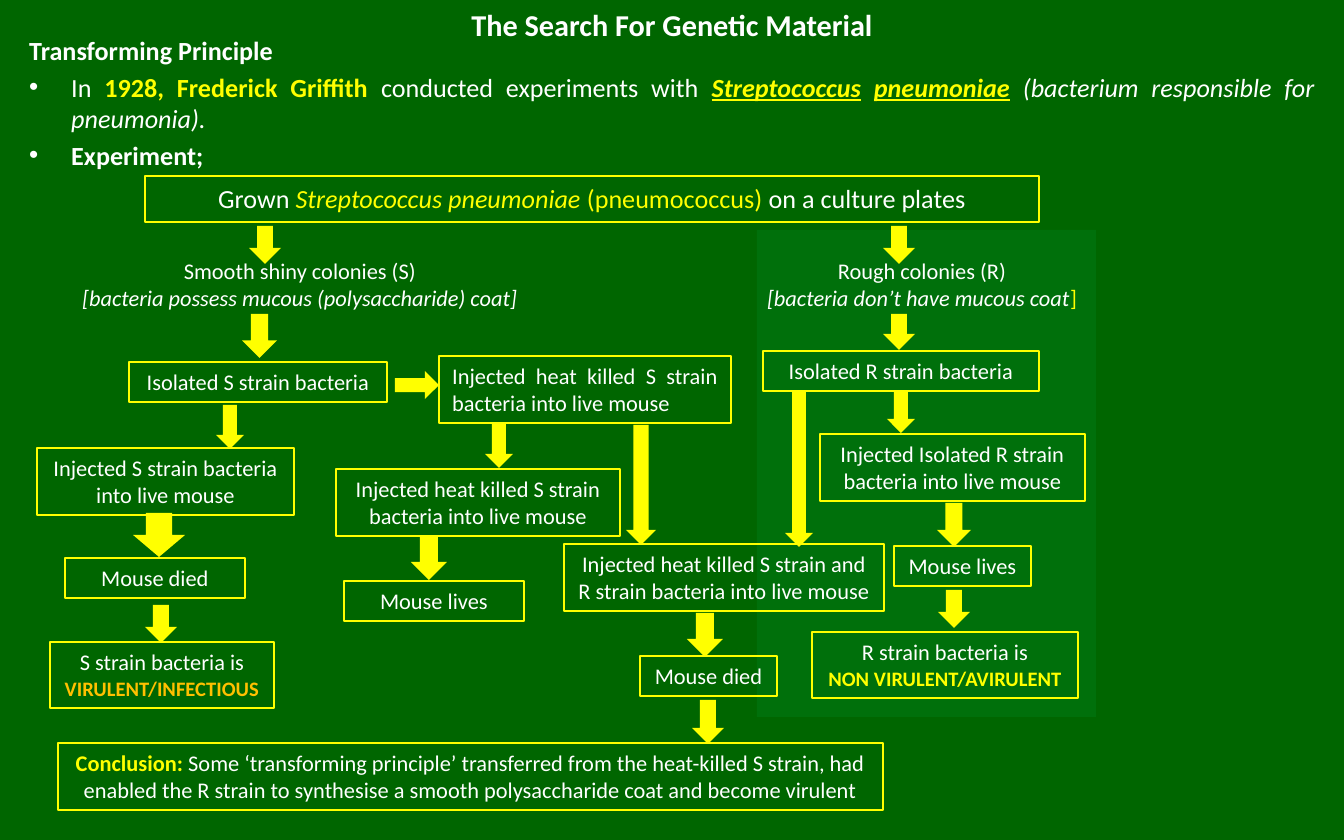
"""Build a slide on Griffith's experiment as a flow chart of boxes and arrows."""
import pptx
import pptx.util
import pptx.dml.color
import pptx.enum.shapes
import pptx.enum.text
import pptx.oxml.ns
from lxml import etree

COLOURS = {"ground": "006600", "panel": "00B050", "white": "FFFFFF",
           "yellow": "FFFF00", "amber": "FFC000"}
FONT = "Calibri"
WIDTH, HEIGHT = 1344, 840
SCALE = 914400 / 134.4

STYLES = {
    "plain": ("white", {}),
    "bold": ("white", {"bold": True}),
    "italic": ("white", {"italic": True}),
    "yellow": ("yellow", {}),
    "yellow italic": ("yellow", {"italic": True}),
    "yellow bold": ("yellow", {"bold": True}),
    "species": ("yellow", {"bold": True, "italic": True, "underline": True}),
    "species gap": ("yellow", {"bold": True, "italic": True}),
    "avirulent": ("yellow", {"bold": True, "size": pptx.util.Pt(11)}),
    "virulent": ("amber", {"bold": True, "size": pptx.util.Pt(11)}),
}

TITLE = [[("The Search For Genetic Material", "bold")]]
INTRO = [
    [("Transforming Principle", "bold")],
    [("In ", "plain"), ("1928, Frederick Griffith ", "yellow bold"),
     ("conducted experiments with ", "plain"), ("Streptococcus", "species"),
     (" ", "species gap"), ("pneumoniae", "species"), (" ", "species gap"),
     ("(bacterium responsible for pneumonia).", "italic")],
    [("Experiment;", "bold")],
]
CULTURE = [[("Grown ", "plain"), ("Streptococcus pneumoniae ", "yellow italic"),
            ("(pneumococcus) ", "yellow"), ("on a culture plates", "plain")]]
SMOOTH = [[("Smooth shiny colonies (S)", "plain")],
          [("[bacteria possess mucous (polysaccharide) coat]", "italic")]]
ROUGH = [[("Rough colonies (R)", "plain")],
         [("[bacteria don’t have mucous coat", "italic"), ("]", "yellow")]]
VIRULENT = [[("S strain bacteria is", "plain")], [("VIRULENT/INFECTIOUS", "virulent")]]
AVIRULENT = [[("R strain bacteria is", "plain")], [("NON VIRULENT/AVIRULENT", "avirulent")]]
CONCLUSION = [[
    ("Conclusion: ", "yellow bold"),
    ("Some ‘transforming principle’ transferred from the heat-killed S strain, had enabled "
     "the R strain to synthesise a smooth polysaccharide coat and become virulent", "plain")]]
HEAT_KILLED = "Injected heat killed S strain bacteria into live mouse"

PANEL = (757, 230, 339, 487)
TITLE_AREA = (16, -1, 1312, 51)
INTRO_AREA = (16, 28, 1312, 202)
CULTURE_AREA = (145, 176, 894, 46)
LABELS = [((65, 251, 470, 67), SMOOTH), ((738, 251, 368, 67), ROUGH)]
JUSTIFIED_STEP = ((439, 356, 292, 67), HEAT_KILLED)
STEPS = [
    ((763, 351, 276, 40), "Isolated R strain bacteria"),
    ((129, 362, 258, 40), "Isolated S strain bacteria"),
    ((820, 434, 265, 67), "Injected Isolated R strain bacteria into live mouse"),
    ((37, 448, 257, 67), "Injected S strain bacteria into live mouse"),
    ((65, 558, 180, 40), "Mouse died"),
    ((894, 546, 137, 40), "Mouse lives"),
    ((336, 469, 284, 67), HEAT_KILLED),
    ((344, 581, 180, 40), "Mouse lives"),
    ((564, 544, 320, 67), "Injected heat killed S strain and R strain bacteria into live mouse"),
    ((640, 656, 137, 40), "Mouse died"),
    ((50, 642, 224, 66), VIRULENT),
    ((812, 632, 266, 66), AVIRULENT),
    ((58, 743, 825, 67), CONCLUSION),
]
SIDE_ARROW = (403, 363, 28, 44)
DOWN_ARROWS = [
    (883, 226, 32, 38), (249, 226, 32, 38), (883, 314, 32, 36), (242, 314, 35, 44),
    (887, 392, 28, 41), (216, 405, 28, 44), (133, 513, 52, 44), (937, 503, 34, 44),
    (485, 424, 28, 44), (411, 536, 36, 44), (785, 392, 28, 155), (626, 425, 30, 120),
    (687, 613, 36, 44), (938, 590, 32, 38), (145, 605, 32, 38), (692, 700, 32, 44),
]

SHAPES = pptx.enum.shapes.MSO_SHAPE
ALIGN = pptx.enum.text.PP_ALIGN
ANCHOR = pptx.enum.text.MSO_ANCHOR


def emu(area):
    return [round(length * SCALE) for length in area]


def colour(name):
    return pptx.dml.color.RGBColor.from_string(COLOURS[name])


def add_shape(page, kind, area, fill=None, line=None):
    shape = page.shapes.add_shape(kind, *emu(area))
    shape.shadow.inherit = False
    if fill:
        shape.fill.solid()
        shape.fill.fore_color.rgb = colour(fill)
    else:
        shape.fill.background()
    if line:
        shape.line.color.rgb = colour(line)
        shape.line.width = pptx.util.Pt(0.75)
    else:
        shape.line.fill.background()
    return shape


def write(shape, content, size=12, align=ALIGN.CENTER, anchor=ANCHOR.TOP):
    frame = shape.text_frame
    settings = {"word_wrap": True, "vertical_anchor": anchor,
                "auto_size": pptx.enum.text.MSO_AUTO_SIZE.NONE}
    for name, value in settings.items():
        setattr(frame, name, value)
    paragraphs = [[(content, "plain")]] if isinstance(content, str) else content
    for index, spans in enumerate(paragraphs):
        paragraph = frame.add_paragraph() if index else frame.paragraphs[0]
        paragraph.alignment = align
        for text, style in spans:
            span = paragraph.add_run()
            span.text = text
            tint, look = STYLES[style]
            values = {"name": FONT, "size": pptx.util.Pt(size), "bold": False, **look}
            for name, value in values.items():
                setattr(span.font, name, value)
            span.font.color.rgb = colour(tint)
    return frame


def add_bullet(paragraph):
    properties = paragraph._p.get_or_add_pPr()
    indent = round(42 * SCALE)
    properties.set("marL", str(indent))
    properties.set("indent", str(-indent))
    font = etree.SubElement(properties, pptx.oxml.ns.qn("a:buFont"))
    font.set("typeface", "Arial")
    bullet = etree.SubElement(properties, pptx.oxml.ns.qn("a:buChar"))
    bullet.set("char", "•")


def add_intro(page):
    box = page.shapes.add_textbox(*emu(INTRO_AREA))
    frame = write(box, INTRO, size=14, align=ALIGN.JUSTIFY)
    for paragraph in frame.paragraphs[1:]:
        paragraph.space_before = pptx.util.Pt(2.8)
        add_bullet(paragraph)


def main():
    deck = pptx.Presentation()
    deck.slide_width, deck.slide_height = emu((WIDTH, HEIGHT))
    page = deck.slides.add_slide(deck.slide_layouts[5])
    page.background.fill.solid()
    page.background.fill.fore_color.rgb = colour("ground")

    panel = add_shape(page, SHAPES.RECTANGLE, PANEL, fill="panel")
    tint = panel._element.spPr.find(".//" + pptx.oxml.ns.qn("a:srgbClr"))
    etree.SubElement(tint, pptx.oxml.ns.qn("a:alpha")).set("val", "14000")

    title = page.shapes.title
    title.left, title.top, title.width, title.height = emu(TITLE_AREA)
    write(title, TITLE, size=16.2, anchor=ANCHOR.MIDDLE)
    add_intro(page)

    culture = add_shape(page, SHAPES.RECTANGLE, CULTURE_AREA, line="yellow")
    write(culture, CULTURE, size=14)
    for area, content in LABELS:
        write(page.shapes.add_textbox(*emu(area)), content)
    for area, content in STEPS:
        write(add_shape(page, SHAPES.RECTANGLE, area, line="yellow"), content)
    area, content = JUSTIFIED_STEP
    write(add_shape(page, SHAPES.RECTANGLE, area, line="yellow"), content, align=ALIGN.JUSTIFY)

    for area in DOWN_ARROWS:
        add_shape(page, SHAPES.DOWN_ARROW, area, fill="yellow")
    add_shape(page, SHAPES.DOWN_ARROW, SIDE_ARROW, fill="yellow").rotation = 270
    deck.save("out.pptx")


if __name__ == "__main__":
    main()
